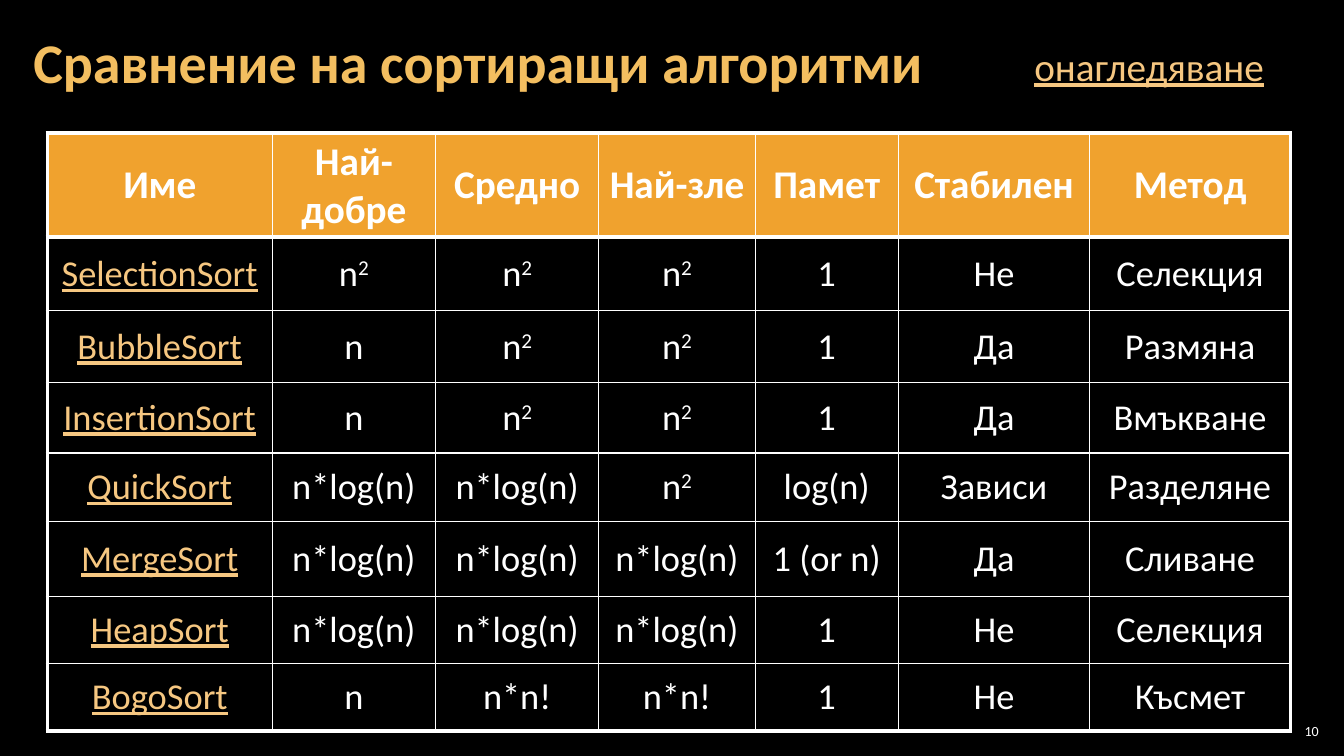
from lxml import etree
from pptx import Presentation
from pptx import util as u
from pptx.dml import color
from pptx.enum import text
from pptx.oxml import ns

WHITE, BLACK, ORANGE, GOLD, LINK = "FFFFFF", "000000", "F0A22E", "F3BE60", "F6C781"
COLUMN_WIDTHS = [2.23, 1.62, 1.62, 1.55, 1.42, 1.9, 1.99]
ROW_HEIGHTS = [0.75, 0.73, 0.71, 0.7, 0.68, 0.74, 0.67, 0.67]
ALGORITHMS = [
    ["Име", "Най-добре", "Средно", "Най-зле", "Памет", "Стабилен", "Метод"],
    ["SelectionSort", "n^2", "n^2", "n^2", "1", "Не", "Селекция"],
    ["BubbleSort", "n", "n^2", "n^2", "1", "Да", "Размяна"],
    ["InsertionSort", "n", "n^2", "n^2", "1", "Да", "Вмъкване"],
    ["QuickSort", "n*log(n)", "n*log(n)", "n^2", "log(n)", "Зависи", "Разделяне"],
    ["MergeSort", "n*log(n)", "n*log(n)", "n*log(n)", "1 (or n)", "Да", "Сливане"],
    ["HeapSort", "n*log(n)", "n*log(n)", "n*log(n)", "1", "Не", "Селекция"],
    ["BogoSort", "n", "n*n!", "n*n!", "1", "Не", "Късмет"],
]


def paint(target, hex_color):
    """Give a fill a solid colour."""
    target.solid()
    target.fore_color.rgb = color.RGBColor.from_string(hex_color)


def assign(target, values):
    """Set the attributes named in a dict."""
    for name, value in values.items():
        setattr(target, name, value)


def write(frame, content, hex_color, align=text.PP_ALIGN.LEFT, **font_format):
    """Write one paragraph; a caret puts what follows it in superscript."""
    para = frame.paragraphs[0]
    para.alignment = align
    for position, part in enumerate(content.split("^")):
        span = para.add_run()
        span.text = part
        assign(span.font, {"name": "Calibri", "bold": False, **font_format})
        paint(span.font.fill, hex_color)
        if position:
            span.font._element.set("baseline", "30000")
    return para


def set_borders(cell, widths):
    """Draw white borders with widths in points: left, right, top, bottom."""
    properties = cell._tc.get_or_add_tcPr()
    for index, (side, width) in enumerate(zip("LRTB", widths)):
        line = etree.Element(ns.qn(f"a:ln{side}"), w=str(u.Pt(width)))
        fill = etree.SubElement(line, ns.qn("a:solidFill"))
        etree.SubElement(fill, ns.qn("a:srgbClr"), val=WHITE)
        properties.insert(index, line)


def fill_cell(cell, hex_color, opacity=100):
    """Fill a table cell, with opacity in percent."""
    paint(cell.fill, hex_color)
    if opacity < 100:
        shade = cell._tc.tcPr.find(".//" + ns.qn("a:srgbClr"))
        etree.SubElement(shade, ns.qn("a:alpha"), val=str(opacity * 1000))


def add_title(page, content):
    """Place and format the slide title."""
    title = page.shapes.title
    assign(title, {"left": u.Inches(0.21), "top": u.Inches(0.04),
                   "width": u.Inches(10.47), "height": u.Inches(1.21)})
    assign(title.text_frame, {
        "vertical_anchor": text.MSO_ANCHOR.MIDDLE, "word_wrap": True,
        "auto_size": text.MSO_AUTO_SIZE.NONE,
        "margin_left": u.Inches(0.12), "margin_right": u.Inches(0.12),
        "margin_top": u.Inches(0.04), "margin_bottom": u.Inches(0.04)})
    para = write(title.text_frame, content, GOLD, size=u.Pt(40), bold=True)
    assign(para, {"line_spacing": 0.9, "space_before": u.Pt(0)})


def add_label(page, place, content, hex_color, frame_format, **text_format):
    """Add a text box with one line of text."""
    box = page.shapes.add_textbox(*map(u.Inches, place))
    assign(box.text_frame, frame_format)
    write(box.text_frame, content, hex_color, **text_format)


def add_comparison(page):
    """Add the table that compares the algorithms."""
    last_row, last_column = len(ROW_HEIGHTS) - 1, len(COLUMN_WIDTHS) - 1
    table = page.shapes.add_table(
        last_row + 1, last_column + 1, u.Inches(0.47), u.Inches(1.32),
        u.Inches(12.33), u.Inches(5.93)).table
    table.horz_banding = False
    for column, width in zip(table.columns, COLUMN_WIDTHS):
        column.width = u.Inches(width)
    for row, height in zip(table.rows, ROW_HEIGHTS):
        row.height = u.Inches(height)
    for i, entries in enumerate(ALGORITHMS):
        header = i == 0
        for j, content in enumerate(entries):
            cell = table.cell(i, j)
            cell.vertical_anchor = text.MSO_ANCHOR.MIDDLE
            linked = j == 0 and not header
            write(cell.text_frame, content, LINK if linked else WHITE,
                  text.PP_ALIGN.CENTER, size=u.Pt(28 if header else 26),
                  bold=header, underline=linked)
            fill_cell(cell, ORANGE if header else BLACK, 100 if header else 30)
            thick = (j == 0, j == last_column, header, i in (0, last_row))
            set_borders(cell, [3 if side else 1 for side in thick])


def main():
    """Build and save the slide."""
    deck = Presentation()
    assign(deck, {"slide_width": u.Inches(13.33), "slide_height": u.Inches(7.5)})
    page = deck.slides.add_slide(deck.slide_layouts.get_by_name("Title Only"))
    paint(page.background.fill, BLACK)
    margins = {f"margin_{side}": u.Inches(0.04)
               for side in ("left", "right", "top", "bottom")}
    add_label(page, (12.65, 7.14, 0.47, 0.22), "10", WHITE,
              {"word_wrap": True, "vertical_anchor": text.MSO_ANCHOR.MIDDLE, **margins},
              align=text.PP_ALIGN.RIGHT, size=u.Pt(10))
    add_title(page, "Сравнение на сортиращи алгоритми")
    add_comparison(page)
    add_label(page, (10.16, 0.37, 2.5, 0.57), "онагледяване", LINK,
              {"word_wrap": False, "auto_size": text.MSO_AUTO_SIZE.SHAPE_TO_FIT_TEXT},
              size=u.Pt(28), underline=True)
    deck.save("out.pptx")


if __name__ == "__main__":
    main()
